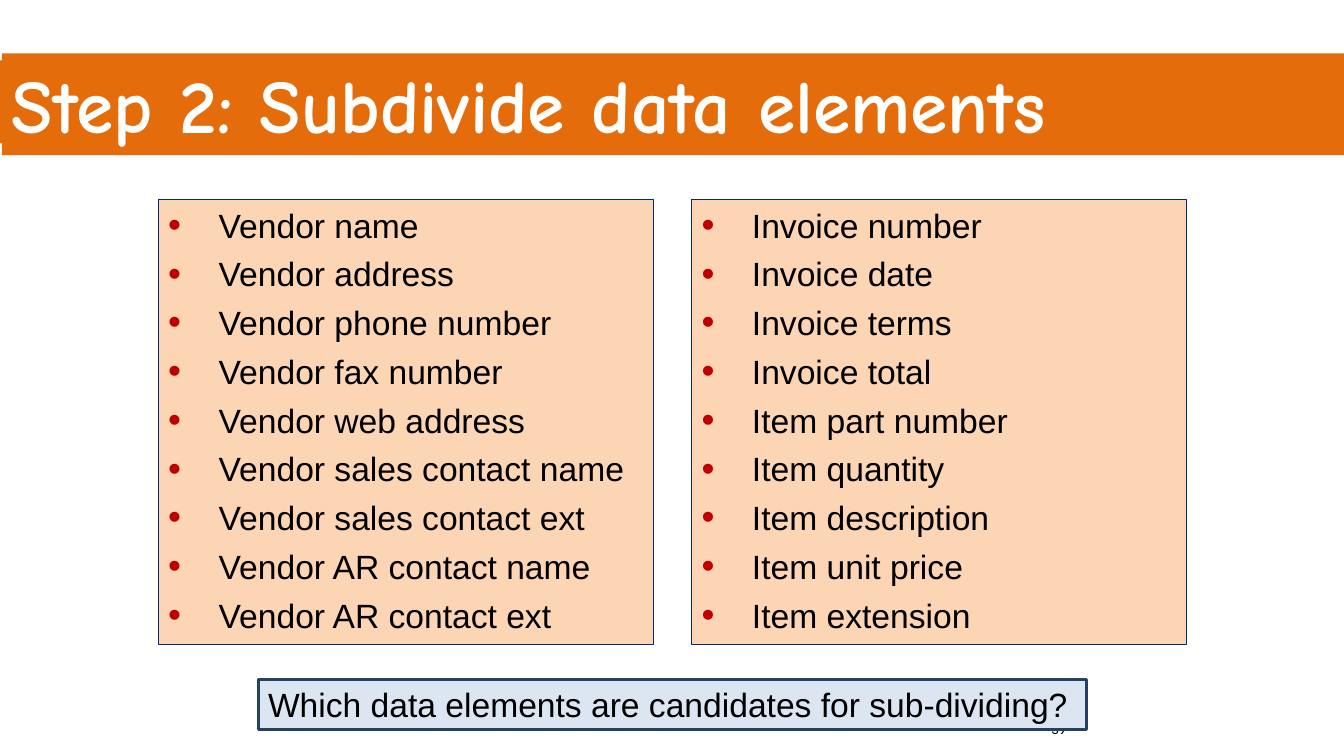
from lxml import etree
from pptx import Presentation
from pptx import util as u
from pptx.dml.color import RGBColor
from pptx.enum import shapes, text
from pptx.oxml.ns import qn

COLORS = {
    "band": "E46C0A", "white": "FFFFFF", "black": "000000",
    "list": "FCD5B5", "list_line": "002A7E", "bullet": "C00000",
    "question": "DCE6F2", "question_line": "254061",
}
VENDOR_ITEMS = [
    "Vendor name", "Vendor address", "Vendor phone number",
    "Vendor fax number", "Vendor web address", "Vendor sales contact name",
    "Vendor sales contact ext", "Vendor AR contact name",
    "Vendor AR contact ext",
]
INVOICE_ITEMS = [
    "Invoice number", "Invoice date", "Invoice terms", "Invoice total",
    "Item part number", "Item quantity", "Item description",
    "Item unit price", "Item extension",
]


def rgb(name):
    return RGBColor.from_string(COLORS[name])


def add_box(s, at, fill, line=None, width=0):
    sp = s.shapes.add_shape(shapes.MSO_SHAPE.RECTANGLE,
                            *(u.Inches(v) for v in at))
    sp.shadow.inherit = False
    sp.fill.solid()
    sp.fill.fore_color.rgb = rgb(fill)
    if line:
        sp.line.color.rgb = rgb(line)
        sp.line.width = u.Pt(width)
    else:
        sp.line.fill.background()
    return sp


def add_bullet(p):
    pPr = p._p.get_or_add_pPr()
    pPr.set("marL", str(u.Inches(0.5)))
    pPr.set("indent", str(u.Inches(-0.5)))
    color = etree.SubElement(pPr, qn("a:buClr"))
    etree.SubElement(color, qn("a:srgbClr"), val=COLORS["bullet"])
    etree.SubElement(pPr, qn("a:buSzPct"), val="110000")
    etree.SubElement(pPr, qn("a:buFont"), typeface="Arial")
    etree.SubElement(pPr, qn("a:buChar"), char="•")


def set_text(sp, lines, size, font="Arial", color="black", bold=False,
             bullets=False, wrap=True):
    tf = sp.text_frame
    tf.text = "\n".join(lines)
    tf.word_wrap = wrap
    tf.vertical_anchor = text.MSO_ANCHOR.TOP
    for p in tf.paragraphs:
        p.alignment = text.PP_ALIGN.LEFT
        if bullets:
            p.space_after = u.Pt(6)
            add_bullet(p)
        for r in p.runs:
            r.font.size = u.Pt(size)
            r.font.name = font
            r.font.bold = bold
            r.font.color.rgb = rgb(color)


def main():
    prs = Presentation()
    prs.slide_width, prs.slide_height = u.Inches(13.33), u.Inches(7.5)
    s = prs.slides.add_slide(prs.slide_layouts[6])

    # Title band
    add_box(s, (0, 0.6, 13.33, 0.82), "band")
    title = add_box(s, (0.02, 0.53, 13.36, 1.01), "band")
    set_text(title, ["Step 2: Subdivide data elements"], 54,
             "Comic Neue", "white", bold=True)

    # Page number, partly behind the question
    number = s.shapes.add_textbox(u.Inches(10.33), u.Inches(7.09),
                                  u.Inches(3), u.Inches(0.4))
    set_text(number, ["39"], 10.5, "Calibri")

    # Question
    question = add_box(s, (2.56, 6.74, 8.22, 0.5), "question",
                       "question_line", 2.25)
    set_text(question,
             ["Which data elements are candidates for sub-dividing?"], 24,
             wrap=False)

    # Lists of data elements
    for left, items in ((1.57, VENDOR_ITEMS), (6.86, INVOICE_ITEMS)):
        sp = add_box(s, (left, 1.98, 4.91, 4.41), "list", "list_line", 0.75)
        set_text(sp, items, 24, bullets=True)

    prs.save("out.pptx")


if __name__ == "__main__":
    main()
